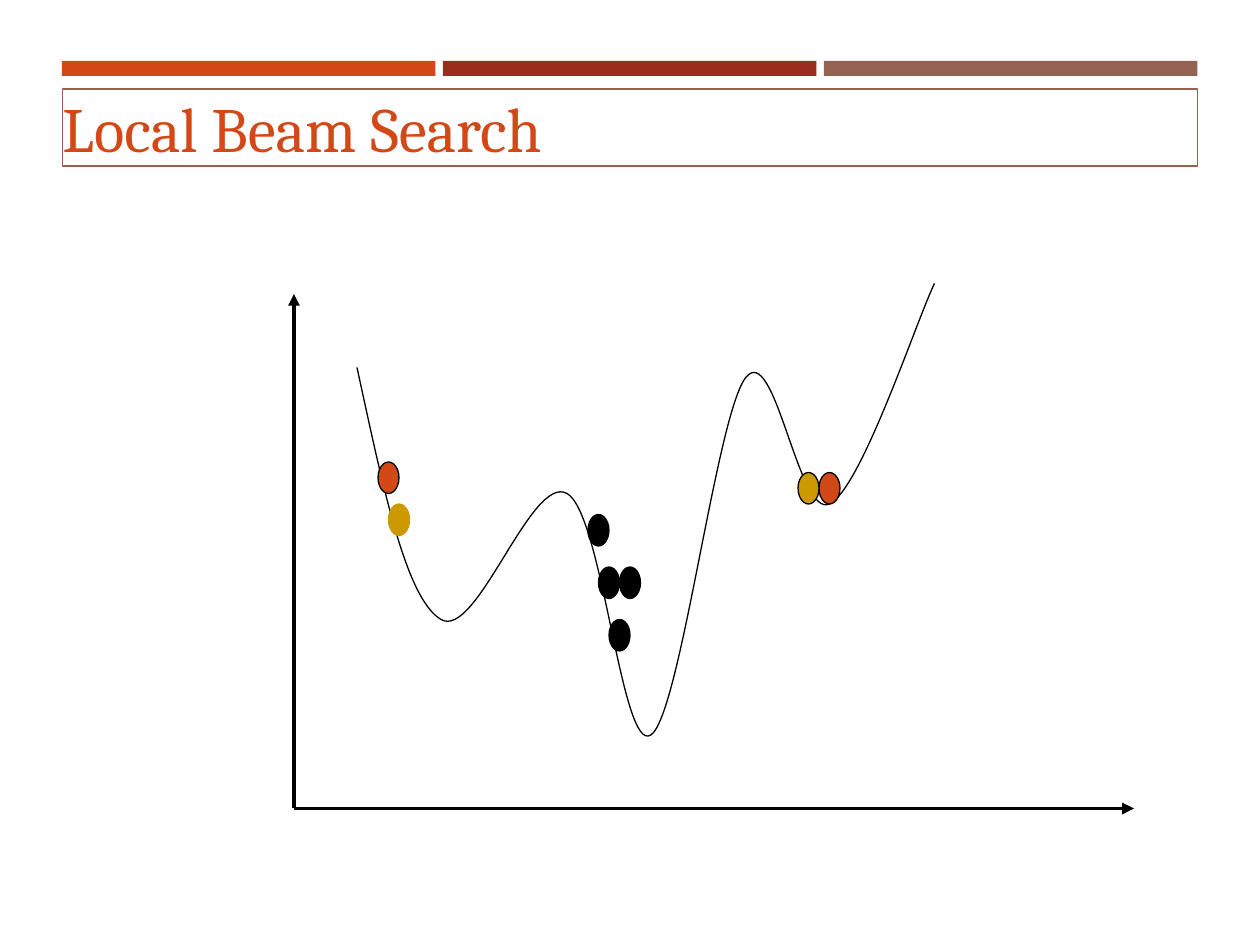
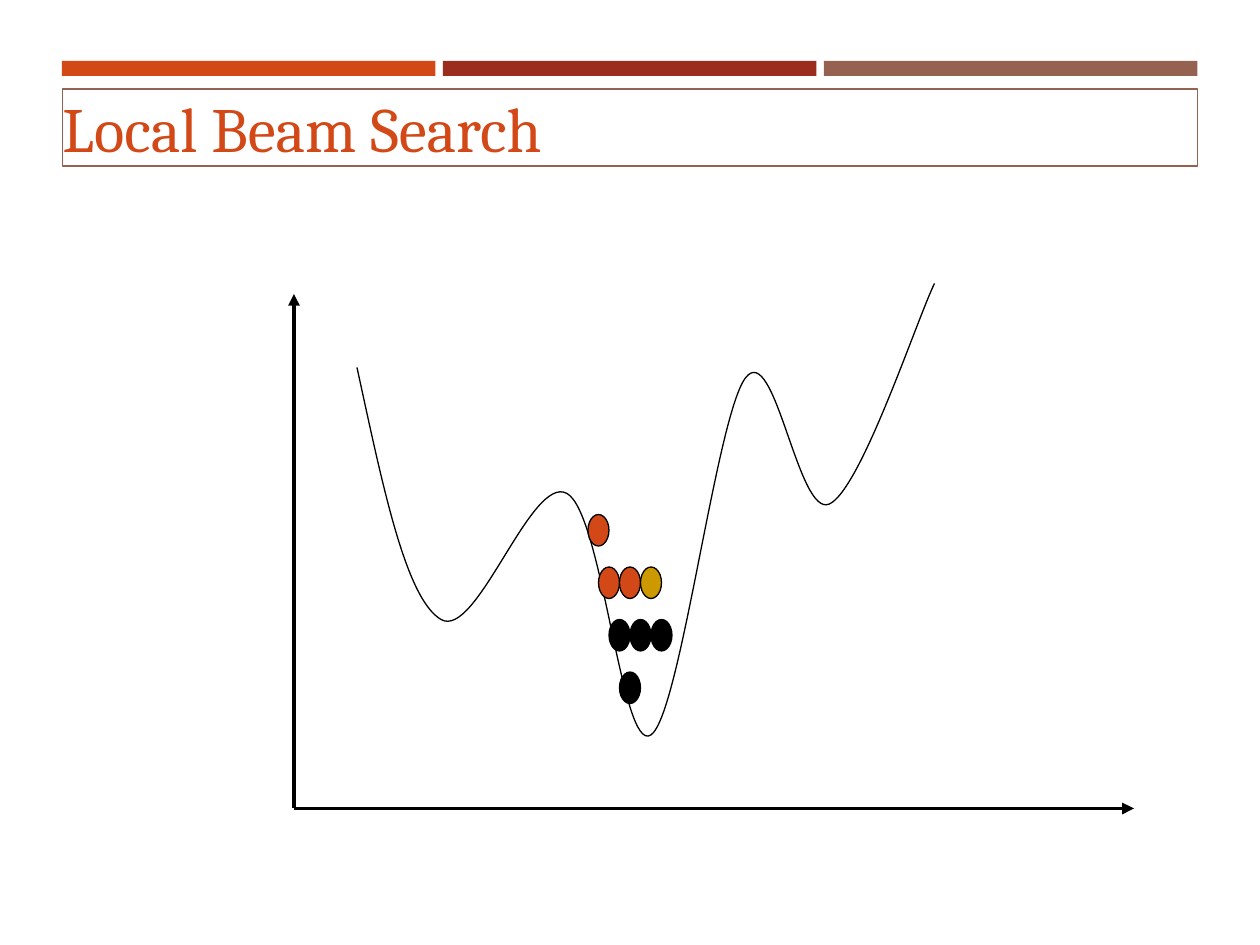
from lxml.etree import SubElement
from pptx import Presentation
from pptx.dml.color import RGBColor
from pptx.enum.shapes import MSO_CONNECTOR as LINK, MSO_SHAPE as KIND
from pptx.enum.text import MSO_ANCHOR as ANCHOR, PP_ALIGN as ALIGN
from pptx.oxml.ns import qn
from pptx.util import Cm, Pt

# Colours
ORANGE = RGBColor(0xD3, 0x48, 0x17)
RED = RGBColor(0x9B, 0x2D, 0x1F)
BROWN = RGBColor(0x95, 0x62, 0x51)
GOLD = RGBColor(0xCC, 0x99, 0x00)
BLACK = RGBColor(0, 0, 0)

FONT = "Cambria"
TITLE = "Local Beam Search"

# Plot grid: one unit is a twelfth of an inch
UNIT = 2.54 / 12
ORIGIN = (28, 77)
TIPS = [(28, 28), (108, 77)]

# Start of the curve, then two control points and an end per bend
START = (34, 35)
BENDS = [
    ((36.4, 46), (38.6, 57), (42, 59)),
    ((45.4, 61), (50.6, 45.1), (54, 47)),
    ((57.4, 48.9), (59.2, 71.9), (62, 70)),
    ((64.8, 68.1), (68.2, 39.7), (71, 36)),
    ((73.8, 32.3), (76, 49.4), (79, 48)),
    ((82, 46.6), (87.3, 30.5), (89, 27)),
]

# States per slide: left, top, fill, outline
STEPS = [
    [
        (56, 49, BLACK, BLACK),
        (36, 44, ORANGE, BLACK),
        (57, 54, BLACK, BLACK),
        (78, 45, ORANGE, BLACK),
        (58, 59, BLACK, BLACK),
        (59, 54, BLACK, BLACK),
        (37, 48, GOLD, GOLD),
        (76, 45, GOLD, BLACK),
    ],
    [
        (56, 49, ORANGE, BLACK),
        (57, 54, ORANGE, BLACK),
        (58, 59, BLACK, BLACK),
        (59, 54, ORANGE, BLACK),
        (60, 59, BLACK, BLACK),
        (61, 54, GOLD, BLACK),
        (62, 59, BLACK, BLACK),
        (59, 64, BLACK, BLACK),
    ],
]


def grid(*units):
    return [Cm(n * UNIT) for n in units]


def paint(shape, fill=None, line=None, width=0.75):
    shape.shadow.inherit = False
    if fill is None:
        shape.fill.background()
    else:
        shape.fill.solid()
        shape.fill.fore_color.rgb = fill
    if line is None:
        shape.line.fill.background()
    else:
        shape.line.color.rgb = line
        shape.line.width = Pt(width)


def add_bands(slide):
    for i, color in enumerate((ORANGE, RED, BROWN)):
        band = slide.shapes.add_shape(
            KIND.RECTANGLE, Cm(1.25 + 7.68 * i), Cm(1.23), Cm(7.53), Cm(0.3))
        paint(band, color)


def add_title(slide, text):
    box = slide.shapes.add_shape(
        KIND.RECTANGLE, Cm(1.26), Cm(1.8), Cm(22.88), Cm(1.55))
    paint(box, line=BROWN, width=1)
    frame = box.text_frame
    frame.word_wrap = True
    frame.vertical_anchor = ANCHOR.MIDDLE
    frame.margin_left = frame.margin_right = 0
    frame.margin_top = frame.margin_bottom = 0
    para = frame.paragraphs[0]
    para.alignment = ALIGN.LEFT
    run = para.add_run()
    run.text = text
    run.font.name = FONT
    run.font.size = Pt(36)
    run.font.color.rgb = ORANGE


def add_axis(slide, tip):
    axis = slide.shapes.add_connector(
        LINK.STRAIGHT, *grid(*ORIGIN), *grid(*tip))
    axis.line.color.rgb = BLACK
    axis.line.width = Pt(2.25)
    props = axis._element.spPr
    SubElement(props.find(qn("a:ln")), qn("a:tailEnd"), type="triangle")
    SubElement(props, qn("a:effectLst"))


def add_curve(slide):
    pen = slide.shapes.build_freeform(*grid(*START))
    pen.add_line_segments(
        [grid(*point) for bend in BENDS for point in bend], close=False)
    curve = pen.convert_to_shape()
    paint(curve, line=BLACK)
    # Join every three straight steps into one cubic bend
    track = next(curve._element.iter(qn("a:path")))
    steps = track.findall(qn("a:lnTo"))
    for i in range(0, len(steps), 3):
        cubic = SubElement(track, qn("a:cubicBezTo"))
        for step in steps[i:i + 3]:
            cubic.append(step[0])
            track.remove(step)


def add_state(slide, left, top, fill, line):
    dot = slide.shapes.add_shape(KIND.OVAL, *grid(left, top, 2, 3))
    paint(dot, fill, line)


def main():
    deck = Presentation()
    deck.slide_width, deck.slide_height = Cm(25.4), Cm(19.05)
    for states in STEPS:
        slide = deck.slides.add_slide(deck.slide_layouts[6])
        add_bands(slide)
        for tip in TIPS:
            add_axis(slide, tip)
        add_curve(slide)
        for state in states:
            add_state(slide, *state)
        add_title(slide, TITLE)
    deck.save("out.pptx")


if __name__ == "__main__":
    main()
